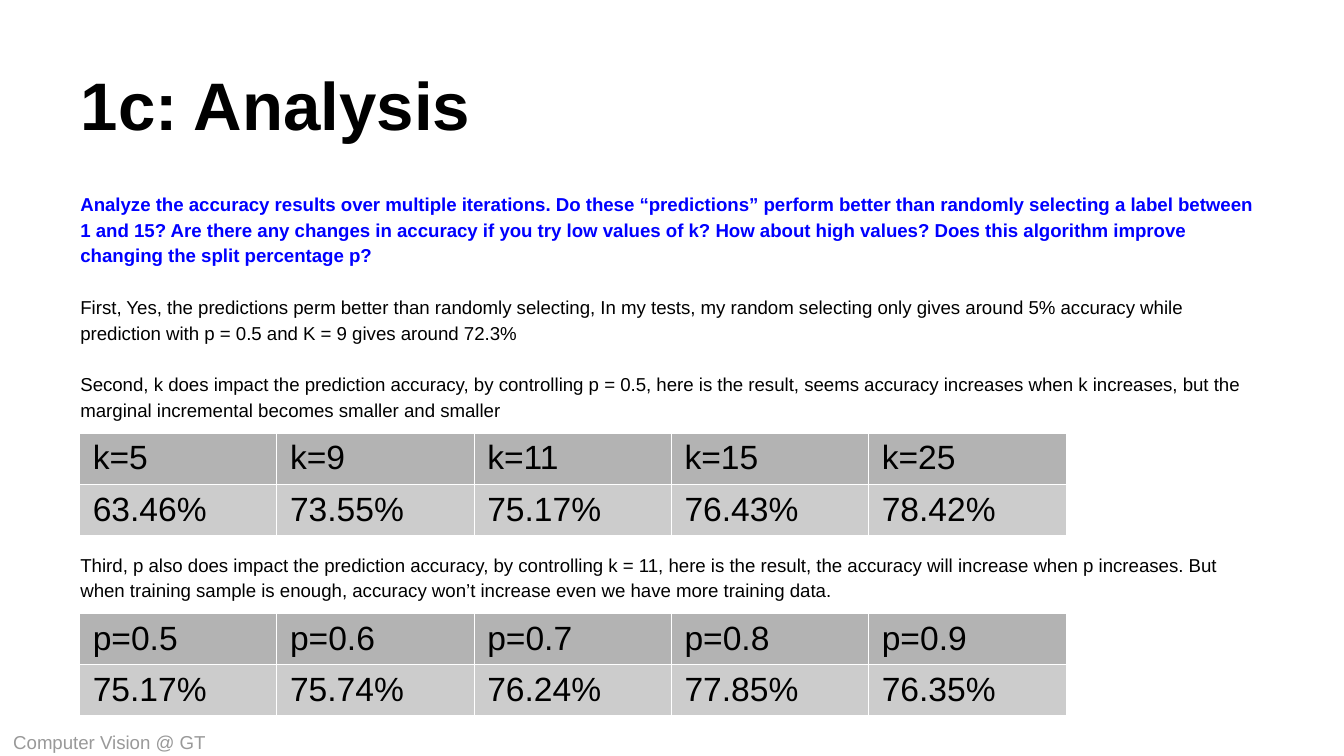
from lxml import etree
from pptx import Presentation
from pptx.dml.color import RGBColor
from pptx.enum.text import MSO_ANCHOR, MSO_AUTO_SIZE, PP_ALIGN
from pptx.oxml.ns import qn
from pptx.util import Inches, Pt

BOTTOM, MIDDLE, TOP = MSO_ANCHOR.BOTTOM, MSO_ANCHOR.MIDDLE, MSO_ANCHOR.TOP
LEFT = PP_ALIGN.LEFT
NO_FIT = MSO_AUTO_SIZE.NONE
TITLE_ONLY = 5
SLIDE_WIDTH = 10
SLIDE_HEIGHT = SLIDE_WIDTH * 9 / 16
BLACK, BLUE, GREY, WHITE = "000000", "0000FF", "999999", "FFFFFF"
ROW_FILLS = ("B3B3B3", "CCCCCC")
LINE_PITCH = 13.8

QUESTION = (
    "Analyze the accuracy results over multiple iterations. Do these “predictions” "
    "perform better than randomly selecting a label between 1 and 15? Are there any "
    "changes in accuracy if you try low values of k? How about high values? Does this "
    "algorithm improve changing the split percentage p?"
)
RANDOM_ANSWER = (
    "First, Yes, the predictions perm better than randomly selecting, In my tests, my "
    "random selecting only gives around 5% accuracy while prediction with p = 0.5 and "
    "K = 9 gives around 72.3%"
)
K_ANSWER = (
    "Second, k does impact the prediction accuracy, by controlling p = 0.5, here is the "
    "result, seems accuracy increases when k increases, but the marginal incremental "
    "becomes smaller and smaller"
)
P_ANSWER = (
    "Third, p also does impact the prediction accuracy, by controlling k = 11, here is "
    "the result, the accuracy will increase when p increases. But when training sample "
    "is enough, accuracy won’t increase even we have more training data."
)
ANALYSIS = (
    (QUESTION, BLUE, True, 0),
    (RANDOM_ANSWER, BLACK, False, 1),
    (K_ANSWER, BLACK, False, 1),
    (P_ANSWER, BLACK, False, 5),
)
K_RESULTS = (
    ("k=5", "k=9", "k=11", "k=15", "k=25"),
    ("63.46%", "73.55%", "75.17%", "76.43%", "78.42%"),
)
P_RESULTS = (
    ("p=0.5", "p=0.6", "p=0.7", "p=0.8", "p=0.9"),
    ("75.17%", "75.74%", "76.24%", "77.85%", "76.35%"),
)


def rgb(value):
    return RGBColor.from_string(value)


def write(paragraph, text, size, color, bold=False):
    paragraph.text = text
    paragraph.alignment = LEFT
    for run in paragraph.runs:
        run.font.name = "Arial"
        run.font.size = Pt(size)
        run.font.bold = bold
        run.font.color.rgb = rgb(color)


def set_frame(frame, anchor):
    frame.word_wrap = True
    frame.auto_size = NO_FIT
    frame.vertical_anchor = anchor
    frame.margin_left = frame.margin_right = Inches(0.1)
    frame.margin_top = frame.margin_bottom = Inches(0.1)


def place_title(slide, left, top, width, height):
    title = slide.shapes.title
    title.left, title.top = Inches(left), Inches(top)
    title.width, title.height = Inches(width), Inches(height)
    set_frame(title.text_frame, BOTTOM)
    heading = title.text_frame.paragraphs[0]
    write(heading, "1c: Analysis", 36, BLACK, True)
    heading.line_spacing = 1.0
    heading.space_before = Pt(0)


def add_text_frame(slide, left, top, width, height, anchor):
    box = slide.shapes.add_textbox(
        Inches(left), Inches(top), Inches(width), Inches(height)
    )
    set_frame(box.text_frame, anchor)
    return box.text_frame


def add_footer(slide, left, top, width, height):
    footer = add_text_frame(slide, left, top, width, height, MIDDLE)
    write(footer.paragraphs[0], "Computer Vision @ GT", 10, GREY)


def add_analysis(slide, left, top, width, height):
    analysis = add_text_frame(slide, left, top, width, height, TOP)
    for index, (text, color, bold, gap_lines) in enumerate(ANALYSIS):
        answer = analysis.add_paragraph() if index else analysis.paragraphs[0]
        write(answer, text, 10, color, bold)
        answer.line_spacing = 1.15
        answer.space_before = Pt(gap_lines * LINE_PITCH)


def set_borders(cell):
    properties = cell._tc.get_or_add_tcPr()
    for position, side in enumerate(("lnL", "lnR", "lnT", "lnB")):
        line = etree.Element(qn(f"a:{side}"), w=str(Pt(0.06)))
        fill = etree.SubElement(line, qn("a:solidFill"))
        etree.SubElement(fill, qn("a:srgbClr"), val=WHITE)
        properties.insert(position, line)


def add_results(slide, results, left, top, width, height):
    row_count, column_count = len(results), len(results[0])
    table = slide.shapes.add_table(
        row_count, column_count,
        Inches(left), Inches(top), Inches(width), Inches(height),
    ).table
    for column in table.columns:
        column.width = Inches(width / column_count)
    for row, values, fill in zip(table.rows, results, ROW_FILLS):
        row.height = Inches(height / row_count)
        for cell, value in zip(row.cells, values):
            write(cell.text_frame.paragraphs[0], value, 18, BLACK)
            cell.fill.solid()
            cell.fill.fore_color.rgb = rgb(fill)
            set_borders(cell)


def build_analysis_slide(presentation):
    slide = presentation.slides.add_slide(presentation.slide_layouts[TITLE_ONLY])
    place_title(slide, 0.5, 0.23, 9.39, 0.94)
    add_footer(slide, 0, 5.41, 2.81, 0.22)
    add_analysis(slide, 0.5, 1.31, 9, 4.07)
    for results, top in ((K_RESULTS, 3.22), (P_RESULTS, 4.56)):
        add_results(slide, results, 0.59, top, 7.34, 0.76)


presentation = Presentation()
presentation.slide_width = Inches(SLIDE_WIDTH)
presentation.slide_height = Inches(SLIDE_HEIGHT)
build_analysis_slide(presentation)
presentation.save("out.pptx")
